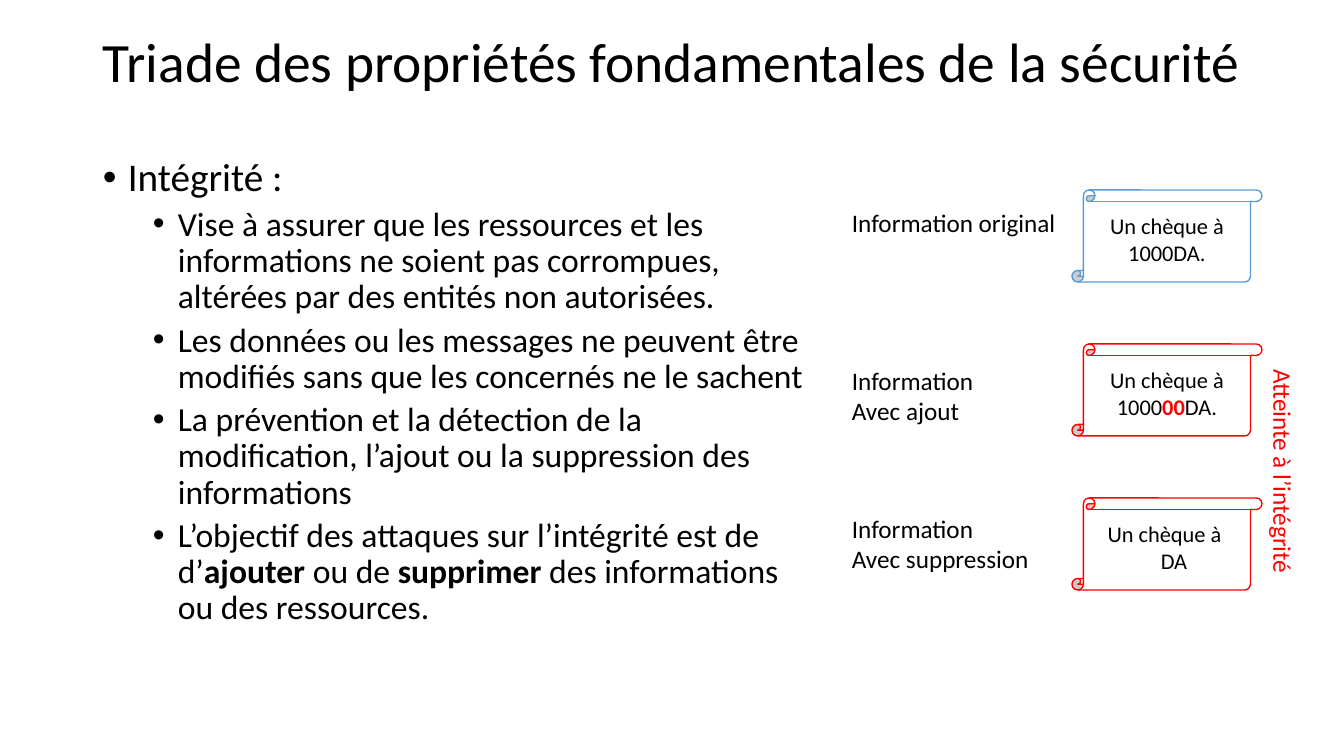
from lxml import etree
from pptx import Presentation
from pptx import util as u
from pptx.dml.color import RGBColor
from pptx.enum import shapes, text
from pptx.oxml.ns import qn

# Content: a paragraph is a list of (wording, style) runs
TITLE = "Triade des propriétés fondamentales de la sécurité"
HEADING = [("Intégrité :", "plain")]
POINTS = [
    [("Vise à assurer que les ressources et les informations ne soient pas "
      "corrompues, altérées par des entités non autorisées.", "plain")],
    [("Les données ou les messages ne peuvent être modifiés sans que les "
      "concernés ne le sachent", "plain")],
    [("La prévention et la détection de la\nmodification, l’ajout ou la "
      "suppression des\ninformations", "plain")],
    [("L’objectif des attaques sur l’intégrité est de\nd’", "plain"),
     ("ajouter ", "bold"), ("ou de ", "plain"), ("supprimer ", "bold"),
     ("des informations ou des ressources.", "plain")],
]
# Each example: label lines, label top, label width, wraps, outline, scroll paragraphs
EXAMPLES = [
    (["Information original"], 202, 308, True, "accent",
     [[("Un chèque à 1000DA.", "plain")]]),
    (["Information", "Avec ajout"], 360, 149, False, "alert",
     [[("Un chèque à 1000", "plain"), ("00", "added"), ("DA.", "plain")]]),
    (["Information", "Avec suppression"], 508, 199, False, "alert",
     [[("Un chèque à ", "plain")], [("DA", "plain")]]),
]
ATTACK = "Atteinte à l’intégrité"

THEME = {
    "font": "Calibri",
    "colors": {"text": "000000", "paper": "FFFFFF", "accent": "5B9BD5", "alert": "FF0000"},
    "sizes": {"title": 39.6, "heading": 28, "point": 24, "label": 18, "scroll": 16},
}
STYLES = {"plain": ("text", False), "bold": ("text", True),
          "added": ("alert", True), "attack": ("alert", False)}

# Layout in px
TITLE_BOX = (93, 22, 1159, 86)
BODY_BOX = (93, 153, 731, 565)
LABEL_LEFT, LABEL_LINE = 842, 31
SCROLL_LEFT, SCROLL_TOP, SCROLL_STEP = 1072, 190, 154
SCROLL_SIZE = (190, 92)
ATTACK_BOX = (1170, 453, 227, 40)
BULLET_HANG, LEVEL_INDENT = 25, 50
GAP_INDENT = 14


def px(length):
    return round(length * 914400 / 100.8)


def color(name):
    return RGBColor.from_string(THEME["colors"][name])


def write(frame, paragraphs, size):
    """Fill a text frame and return its paragraphs."""
    for index, runs in enumerate(paragraphs):
        paragraph = frame.add_paragraph() if index else frame.paragraphs[0]
        for wording, style in runs:
            color_name, bold = STYLES[style]
            for number, line in enumerate(wording.split("\n")):
                if number:
                    paragraph.add_line_break()
                run = paragraph.add_run()
                run.text = line
                run.font.name = THEME["font"]
                run.font.size = u.Pt(THEME["sizes"][size])
                run.font.bold = bold
                run.font.color.rgb = color(color_name)
    return frame.paragraphs


def add_text(slide, box, paragraphs, size, wrap=True):
    shape = slide.shapes.add_textbox(*map(px, box))
    shape.text_frame.word_wrap = wrap
    write(shape.text_frame, paragraphs, size)
    return shape


def add_bullet(paragraph, level):
    paragraph.level = level
    paragraph.line_spacing = 0.9
    paragraph.space_before = u.Pt(5 if level else 10)
    properties = paragraph._p.get_or_add_pPr()
    properties.set("marL", str(px(BULLET_HANG + level * LEVEL_INDENT)))
    properties.set("indent", str(px(-BULLET_HANG)))
    etree.SubElement(properties, qn("a:buFont"), typeface="Arial")
    etree.SubElement(properties, qn("a:buChar"), char="•")


def add_scroll(slide, top, outline, paragraphs):
    shape = slide.shapes.add_shape(shapes.MSO_SHAPE.VERTICAL_SCROLL,
                                   *map(px, (SCROLL_LEFT, top, *SCROLL_SIZE)))
    shape.shadow.inherit = False
    shape.fill.solid()
    shape.fill.fore_color.rgb = color("paper")
    shape.line.color.rgb = color(outline)
    shape.line.width = u.Pt(1)
    shape.text_frame.word_wrap = True
    shape.text_frame.vertical_anchor = text.MSO_ANCHOR.MIDDLE
    for index, paragraph in enumerate(write(shape.text_frame, paragraphs, "scroll")):
        paragraph.alignment = text.PP_ALIGN.CENTER
        if index:  # room for the removed amount
            paragraph._p.get_or_add_pPr().set("marL", str(px(GAP_INDENT)))


def main():
    presentation = Presentation()
    presentation.slide_width, presentation.slide_height = px(1344), px(756)
    slide = presentation.slides.add_slide(presentation.slide_layouts[6])

    # Title
    title = add_text(slide, TITLE_BOX, [[(TITLE, "plain")]], "title")
    title.text_frame.vertical_anchor = text.MSO_ANCHOR.MIDDLE
    title.text_frame.paragraphs[0].line_spacing = 0.9

    # Bulleted definition
    body = add_text(slide, BODY_BOX, [HEADING] + POINTS, "point")
    for index, paragraph in enumerate(body.text_frame.paragraphs):
        add_bullet(paragraph, min(index, 1))
    body.text_frame.paragraphs[0].runs[0].font.size = u.Pt(THEME["sizes"]["heading"])

    # Cheque examples with their labels
    for row, (lines, top, width, wrap, outline, cheque) in enumerate(EXAMPLES):
        add_scroll(slide, SCROLL_TOP + row * SCROLL_STEP, outline, cheque)
        box = (LABEL_LEFT, top, width, 10 + LABEL_LINE * len(lines))
        add_text(slide, box, [[(line, "plain")] for line in lines], "label", wrap)

    # Vertical caption
    attack = add_text(slide, ATTACK_BOX, [[(ATTACK, "attack")]], "label", False)
    attack.rotation = 90

    presentation.save("out.pptx")


if __name__ == "__main__":
    main()
